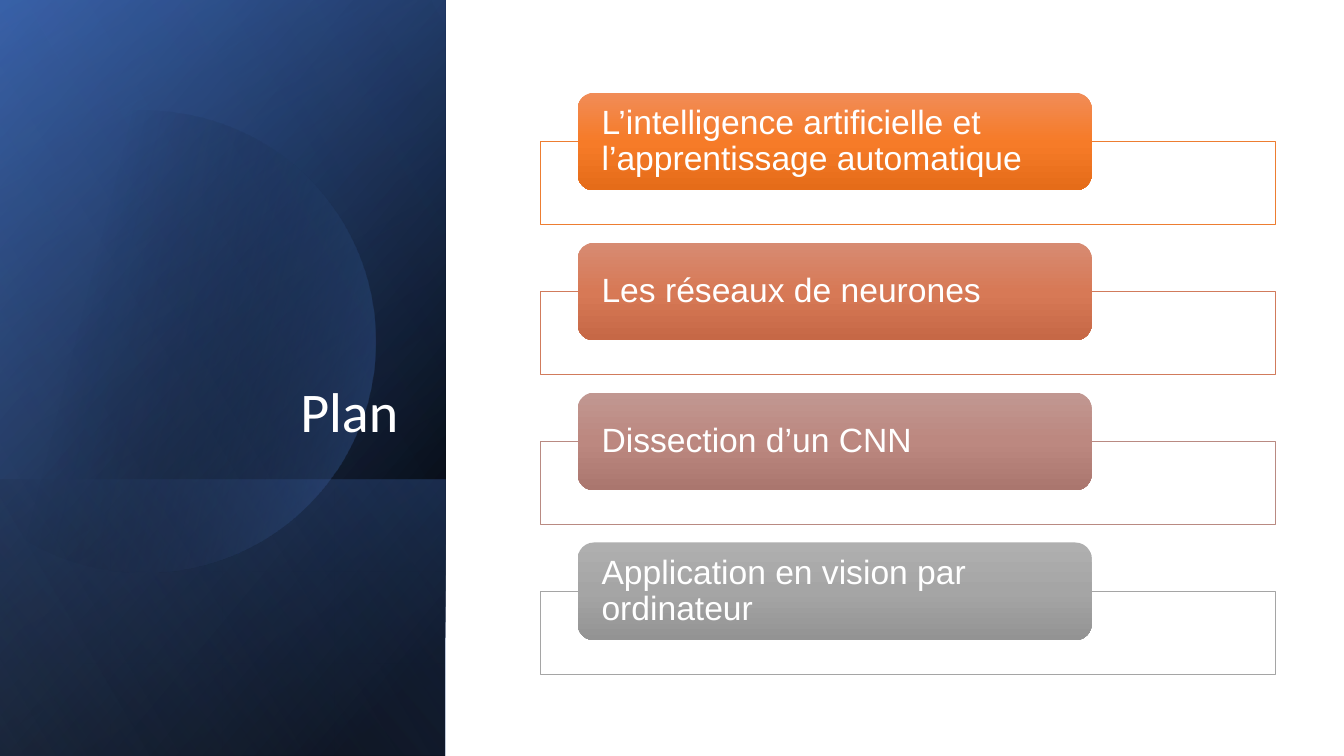
import math

import lxml.etree
import pptx
import pptx.dml.color
import pptx.enum.shapes
import pptx.enum.text
import pptx.oxml.ns
import pptx.util

RGB = pptx.dml.color.RGBColor
BLACK = RGB(0x00, 0x00, 0x00)
WHITE = RGB(0xFF, 0xFF, 0xFF)
BLUE = RGB(0x44, 0x72, 0xC4)
NAVY = RGB(0x2F, 0x55, 0x97)
SKY = RGB(0x8F, 0xAA, 0xDC)
ORANGE = RGB(0xED, 0x7D, 0x31)
TERRACOTTA = RGB(0xD1, 0x7B, 0x5C)
ROSE = RGB(0xB9, 0x8A, 0x82)
GREY = RGB(0xA5, 0xA5, 0xA5)

TOPICS = [
    ("L’intelligence artificielle et l’apprentissage automatique", ORANGE,
     (RGB(0xF1, 0x8C, 0x57), RGB(0xF6, 0x7B, 0x28), RGB(0xE5, 0x6C, 0x19))),
    ("Les réseaux de neurones", TERRACOTTA,
     (RGB(0xD7, 0x8B, 0x72), RGB(0xD7, 0x79, 0x56), RGB(0xC6, 0x68, 0x46))),
    ("Dissection d’un CNN", ROSE,
     (RGB(0xC1, 0x97, 0x91), RGB(0xBC, 0x88, 0x80), RGB(0xAA, 0x76, 0x6E))),
    ("Application en vision par ordinateur", GREY,
     (RGB(0xAF, 0xAF, 0xAF), RGB(0xA5, 0xA5, 0xA5), RGB(0x93, 0x93, 0x93))),
]
PANEL = (0, 0, 33.15, 100)
PANEL_FOOT = (0, 63.47, 33.15, 36.53)
TOPIC_PITCH = 19.83


class PlanSlide:
    """Draws the plan slide, with places given in percent of its size."""

    def __init__(self, deck):
        self.deck = deck
        self.page = deck.slides.add_slide(deck.slide_layouts[5])
        self.shapes = self.page.shapes
        self.shape_kinds = pptx.enum.shapes.MSO_SHAPE
        self.anchors = pptx.enum.text.MSO_ANCHOR
        self.aligns = pptx.enum.text.PP_ALIGN

    def place(self, left, top, width, height):
        across, down = self.deck.slide_width / 100, self.deck.slide_height / 100
        return [round(value) for value in
                (left * across, top * down, width * across, height * down)]

    def apply(self, target, formats):
        for name, value in formats.items():
            setattr(target, name, value)

    def shade(self, shape, stops, angle):
        shape.shadow.inherit = False
        shape.line.fill.background()
        shape.fill.gradient()
        shape.fill.gradient_angle = 360 - angle
        qn = pptx.oxml.ns.qn
        stop_list = shape._element.spPr.find(".//" + qn("a:gsLst"))
        for old_stop in list(stop_list):
            stop_list.remove(old_stop)
        for position, color, opacity in stops:
            stop = lxml.etree.SubElement(stop_list, qn("a:gs"), pos=str(position * 1000))
            tint = lxml.etree.SubElement(stop, qn("a:srgbClr"), val=str(color))
            if opacity < 100:
                lxml.etree.SubElement(tint, qn("a:alpha"), val=str(opacity * 1000))

    def panel(self, area, stops, angle):
        left, top, width, height = self.place(*area)
        shift = (width - height) // 2
        box = self.shapes.add_shape(self.shape_kinds.RECTANGLE, left + shift,
                                    top - shift, height, width)
        box.rotation = 90
        box._element.spPr.find(pptx.oxml.ns.qn("a:xfrm")).set("flipH", "1")
        self.shade(box, stops, angle)

    def cut_disc(self, center_x, center_y, radius, cut_x, stops, angle):
        limit = math.acos((cut_x - center_x) / radius)
        steps = 120
        turns = [limit * (2 * step / steps - 1) for step in range(steps + 1)]
        points = [(pptx.util.Inches(center_x + radius * math.cos(turn)),
                   pptx.util.Inches(center_y + radius * math.sin(turn)))
                  for turn in turns]
        builder = self.shapes.build_freeform(*points[0])
        builder.add_line_segments(points[1:], close=True)
        self.shade(builder.convert_to_shape(), stops, angle)

    def set_text(self, box, text, size, font, frame_formats, align):
        frame = box.text_frame
        self.apply(frame, {"word_wrap": True, **frame_formats})
        para = frame.paragraphs[0]
        self.apply(para, {"alignment": align, "line_spacing": 0.9})
        span = para.add_run()
        span.text = text
        self.apply(span.font, {"size": pptx.util.Pt(size), "name": font, "bold": False})
        span.font.color.rgb = WHITE

    def title(self, text, area):
        box = self.shapes.title
        self.apply(box, dict(zip(("left", "top", "width", "height"), self.place(*area))))
        self.shapes._spTree.append(box._element)
        self.set_text(box, text, 40, "Calibri",
                      {"vertical_anchor": self.anchors.BOTTOM}, self.aligns.RIGHT)

    def frame(self, area, color):
        box = self.shapes.add_shape(self.shape_kinds.RECTANGLE, *self.place(*area))
        box.shadow.inherit = False
        box.fill.solid()
        box.fill.fore_color.rgb = WHITE
        box.line.color.rgb = color
        box.line.width = pptx.util.Pt(0.5)

    def card(self, area, text, colors):
        box = self.shapes.add_shape(self.shape_kinds.ROUNDED_RECTANGLE, *self.place(*area))
        self.shade(box, [(50 * index, color, 100) for index, color in enumerate(colors)], 90)
        inset = pptx.util.Inches(0.19)
        self.set_text(box, text, 24, "Arial",
                      {"vertical_anchor": self.anchors.MIDDLE, "margin_left": inset,
                       "margin_right": inset, "margin_top": 0, "margin_bottom": 0},
                      self.aligns.LEFT)


def main():
    deck = pptx.Presentation()
    deck.slide_width = pptx.util.Inches(13.33)
    deck.slide_height = pptx.util.Inches(7.5)
    plan = PlanSlide(deck)
    plan.panel(PANEL, [(8, BLACK, 100), (100, NAVY, 100)], 50)
    plan.panel(PANEL, [(0, BLACK, 0), (99, BLUE, 46)], 30)
    plan.panel(PANEL_FOOT, [(2, BLUE, 29), (100, BLACK, 30)], 130)
    plan.cut_disc(1.43, 3.39, 2.29, -0.15, [(29, BLACK, 0), (100, BLUE, 43)], 14)
    plan.panel(PANEL, [(0, BLACK, 0), (99, SKY, 11)], 120)
    plan.title("Plan", (4.8, 24.53, 25.58, 34.93))
    for index, (text, outline, colors) in enumerate(TOPICS):
        drop = index * TOPIC_PITCH
        plan.frame((40.2, 18.67 + drop, 54.68, 11.07), outline)
        plan.card((42.98, 12.27 + drop, 38.25, 12.93), text, colors)
    deck.save("out.pptx")


if __name__ == "__main__":
    main()
